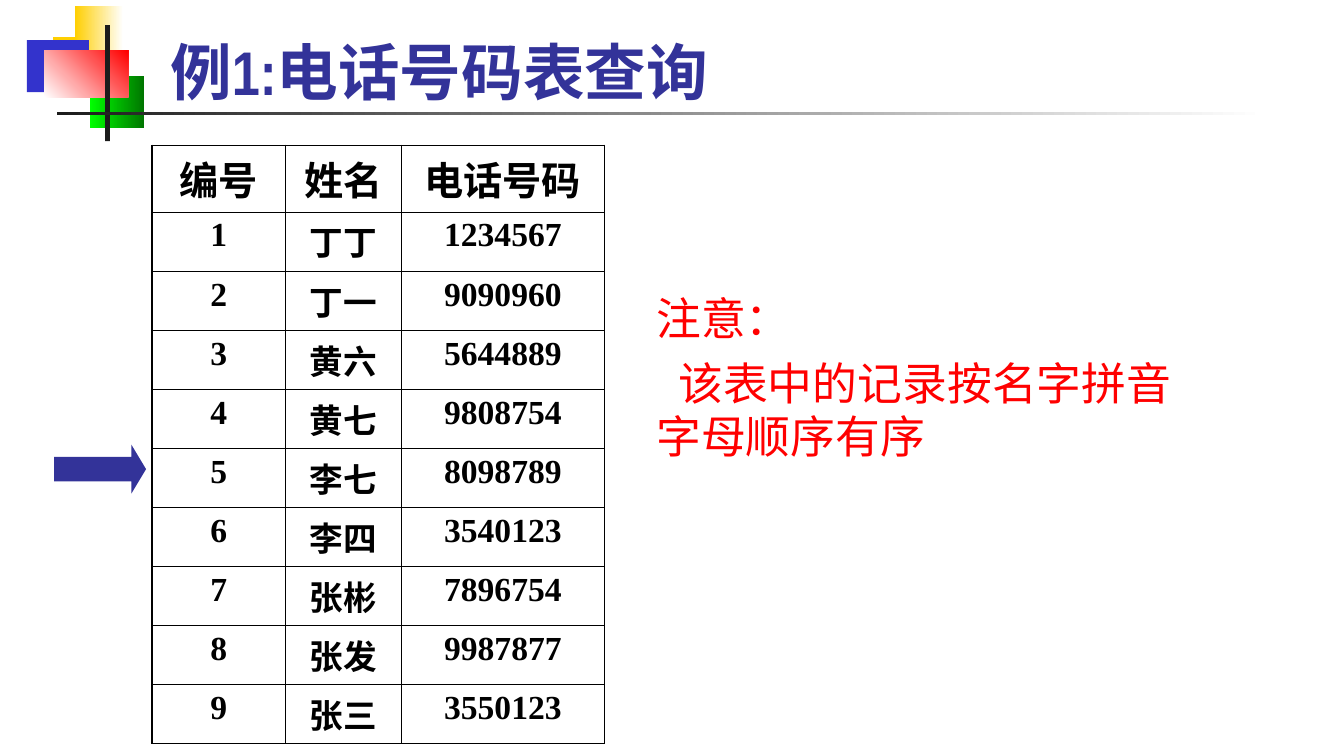
from dataclasses import dataclass

from lxml import etree
from pptx import Presentation
from pptx.dml.color import RGBColor
from pptx.enum.lang import MSO_LANGUAGE_ID as Lang
from pptx.enum.shapes import MSO_SHAPE as Shape
from pptx.enum.text import MSO_ANCHOR as Anchor, MSO_AUTO_SIZE as AutoSize, PP_ALIGN as Align
from pptx.oxml.ns import qn
from pptx.util import Pt

PX = 9080  # EMU per px


@dataclass(frozen=True)
class Theme:
    title_font: str = "Arial Narrow"
    body_font: str = "Times New Roman"
    title_size: int = 44
    note_size: int = 32
    header_size: int = 28
    cell_size: int = 24
    indigo: str = "333399"
    blue: str = "3333CC"
    yellow: str = "FFCF01"
    lime: str = "00FF00"
    green: str = "007600"
    red: str = "FF0000"
    white: str = "FFFFFF"
    dark: str = "1C1C1C"
    black: str = "000000"


THEME = Theme()
HEADERS = ("编号", "姓名", "电话号码")
ENTRIES = (
    ("丁丁", "1234567"), ("丁一", "9090960"), ("黄六", "5644889"),
    ("黄七", "9808754"), ("李七", "8098789"), ("李四", "3540123"),
    ("张彬", "7896754"), ("张发", "9987877"), ("张三", "3550123"),
)
COLUMN_WIDTHS = (133, 116, 203)
HEADER_HEIGHT, ROW_HEIGHT = 66, 59
THIN, THICK = 0.45, 1.08


def px(*values):
    return [v * PX for v in values]


def add_run(p, text, font, size, color, bold=False):
    r = p.add_run()
    r.text = text
    r.font.name, r.font.size, r.font.bold = font, Pt(size), bold
    r.font.color.rgb = RGBColor.from_string(color)
    r.font.language_id = Lang.SIMPLIFIED_CHINESE


def add_block(slide, kind, box, colors, angle=0):
    """Add a borderless shape with a solid or two-colour gradient fill."""
    s = slide.shapes.add_shape(kind, *px(*box))
    s.shadow.inherit = False
    s.line.fill.background()
    if len(colors) == 1:
        s.fill.solid()
        s.fill.fore_color.rgb = RGBColor.from_string(colors[0])
    else:
        s.fill.gradient()
        s.fill.gradient_angle = angle
        for stop, color in zip(s.fill.gradient_stops, colors):
            stop.color.rgb = RGBColor.from_string(color)
    return s


def add_ornament(slide, box):
    x, y, w, h = box
    t = THEME
    blocks = (
        ((26, 31, 64, 52), (t.yellow,), 0),
        ((48, 0, 48, 52), (t.yellow, t.white), 0),
        ((0, 34, 62, 52), (t.blue,), 0),
        ((63, 70, 54, 52), (t.lime, t.green), 0),
        ((17, 44, 84, 47), (t.white, t.red), 45),
        ((78, 19, 5, h - 19), (t.dark,), 0),
        ((30, 106, w - 30, 3), (t.dark, t.white), 0),
    )
    for (dx, dy, bw, bh), colors, angle in blocks:
        add_block(slide, Shape.RECTANGLE, (x + dx, y + dy, bw, bh), colors, angle)


def fill_title(slide, box):
    s = slide.shapes.title
    s.left, s.top, s.width, s.height = px(*box)
    tf = s.text_frame
    tf.auto_size = AutoSize.NONE
    tf.vertical_anchor = Anchor.BOTTOM
    p = tf.paragraphs[0]
    p.alignment = Align.LEFT
    add_run(p, "例1:电话号码表查询", THEME.title_font, THEME.title_size, THEME.indigo, True)


def set_borders(cell, widths):
    """Draw the left, right, top and bottom cell borders, widths in points."""
    tcPr = cell._tc.get_or_add_tcPr()
    for i, (side, width) in enumerate(zip("LRTB", widths)):
        ln = etree.Element(qn(f"a:ln{side}"), w=str(Pt(width)))
        fill = etree.SubElement(ln, qn("a:solidFill"))
        etree.SubElement(fill, qn("a:srgbClr"), val=THEME.black)
        tcPr.insert(i, ln)


def add_phone_table(slide, box):
    rows = [HEADERS] + [(str(n), *entry) for n, entry in enumerate(ENTRIES, 1)]
    last_row, last_col = len(rows) - 1, len(HEADERS) - 1
    table = slide.shapes.add_table(len(rows), len(HEADERS), *px(*box)).table
    table.first_row = table.horz_banding = False
    for col, width in zip(table.columns, COLUMN_WIDTHS):
        col.width = width * PX
    for i, values in enumerate(rows):
        table.rows[i].height = (ROW_HEIGHT if i else HEADER_HEIGHT) * PX
        for j, value in enumerate(values):
            cell = table.cell(i, j)
            cell.fill.background()
            outer = (j == 0, j == last_col, i == 0, i == last_row)
            set_borders(cell, [THICK if edge else THIN for edge in outer])
            p = cell.text_frame.paragraphs[0]
            p.alignment = Align.CENTER
            size = THEME.cell_size if i else THEME.header_size
            add_run(p, value, THEME.body_font, size, THEME.black, True)


def add_note(slide, box):
    tf = slide.shapes.add_textbox(*px(*box)).text_frame
    tf.word_wrap = True
    heading, detail = tf.paragraphs[0], tf.add_paragraph()
    detail.space_before = Pt(8)
    detail._p.get_or_add_pPr().set("indent", str(22 * PX))
    for p, text in ((heading, "注意："), (detail, "该表中的记录按名字拼音字母顺序有序")):
        add_run(p, text, THEME.body_font, THEME.note_size, THEME.red)


def add_row_pointer(slide, box):
    s = add_block(slide, Shape.RIGHT_ARROW, box, (THEME.indigo,))
    s.adjustments[0], s.adjustments[1] = 0.5, 0.3


def main():
    prs = Presentation()
    prs.slide_width, prs.slide_height = px(1343, 755)
    slide = prs.slides.add_slide(prs.slide_layouts[5])
    # Header
    add_ornament(slide, (27, 6, 1238, 135))
    fill_title(slide, (160, 25, 727, 88))
    # Phone list, note and pointer to the middle record
    table_height = HEADER_HEIGHT + ROW_HEIGHT * len(ENTRIES)
    add_phone_table(slide, (152, 145, sum(COLUMN_WIDTHS), table_height))
    add_note(slide, (646, 285, 576, 182))
    add_row_pointer(slide, (54, 444, 92, 49))
    prs.save("out.pptx")


if __name__ == "__main__":
    main()
